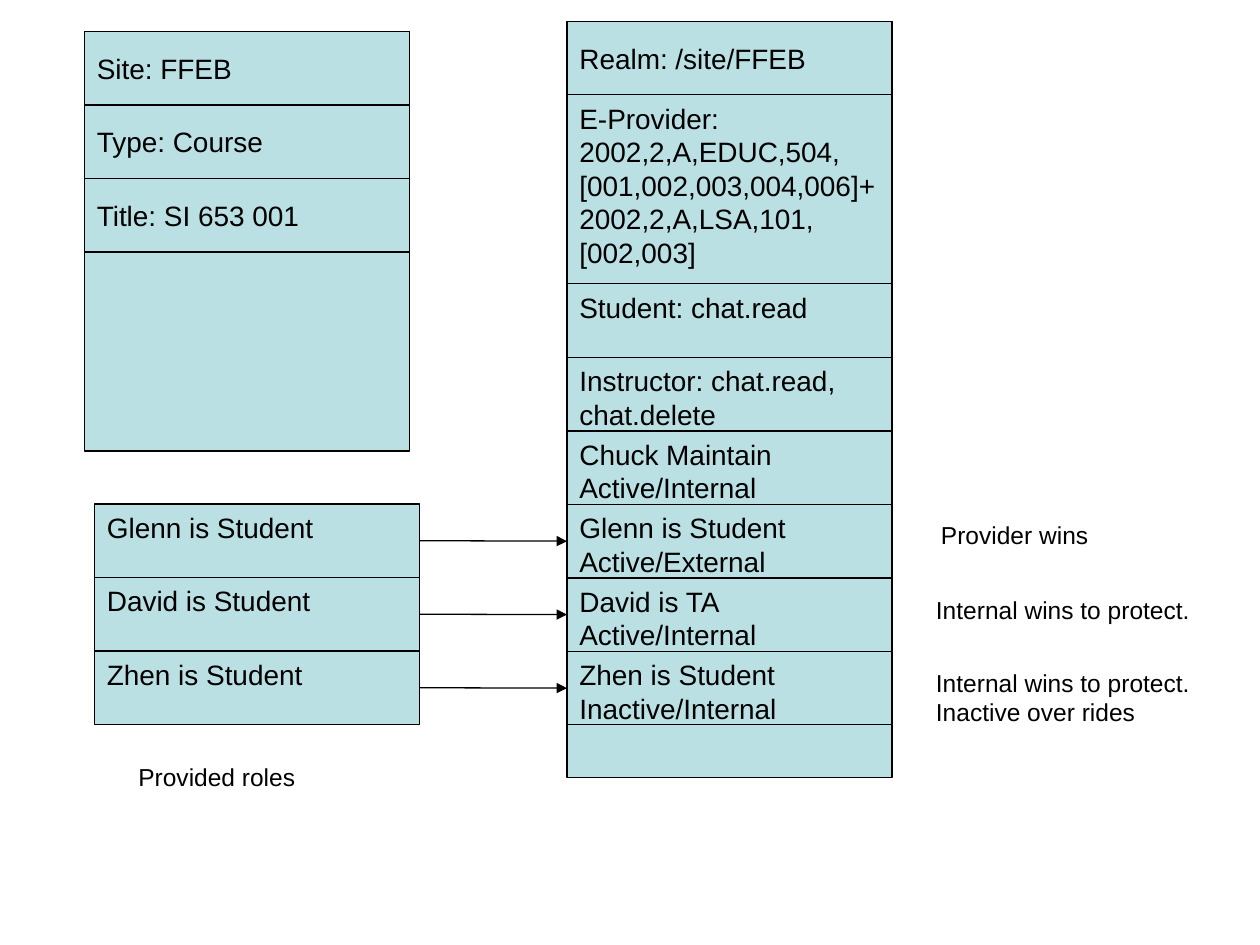
from lxml import etree
from pptx import Presentation
from pptx import util as u
from pptx.dml.color import RGBColor
from pptx.enum import shapes, text
from pptx.oxml import ns

BLACK = RGBColor(0x00, 0x00, 0x00)
PALE_TEAL = RGBColor(0xBB, 0xE0, 0xE3)
FONT = "Arial"
WIDTH = 2.58
ROW = 7 / 12
TOP, MIDDLE = text.MSO_ANCHOR.TOP, text.MSO_ANCHOR.MIDDLE

# Content: (text, height, anchor, wrap) for each stacked cell
SITE = [
    ("Site: FFEB", ROW, MIDDLE, False),
    ("Type: Course", ROW, MIDDLE, False),
    ("Title: SI 653 001", ROW, MIDDLE, False),
]
REALM = [
    ("Realm: /site/FFEB", ROW, MIDDLE, False),
    ("E-Provider:\n2002,2,A,EDUC,504,[001,002,003,004,006]+\n"
     "2002,2,A,LSA,101,[002,003]", 1.5, TOP, True),
    ("Student: chat.read", ROW, TOP, False),
    ("Instructor: chat.read, chat.delete", ROW, TOP, True),
    ("Chuck Maintain\nActive/Internal", ROW, TOP, True),
    ("Glenn is Student Active/External", ROW, TOP, True),
    ("David is TA Active/Internal", ROW, TOP, True),
    ("Zhen is Student Inactive/Internal", ROW, TOP, True),
]
ROLES = [
    ("Glenn is Student", ROW, TOP, True),
    ("David is Student", ROW, TOP, True),
    ("Zhen is Student", ROW, TOP, True),
]
# Notes: (text, left, top, width, height, wrap)
NOTES = [
    ("Provider wins", 7.37, 4.08, 1.37, 0.34, False),
    ("Internal wins to protect.", 7.33, 4.67, 2.33, 0.34, True),
    ("Internal wins to protect.\nInactive over rides", 7.33, 5.25, 2.33, 0.57, True),
    ("Provided roles", 1, 6, 2.33, 0.34, True),
]


def write(shape, words, size, anchor, wrap):
    frame = shape.text_frame
    frame.text = words
    frame.word_wrap = wrap
    frame.vertical_anchor = anchor
    for para in frame.paragraphs:
        para.alignment = text.PP_ALIGN.LEFT
        for span in para.runs:
            span.font.name = FONT
            span.font.size = u.Pt(size)
            span.font.color.rgb = BLACK


def add_box(page, left, top, height):
    box = page.shapes.add_shape(
        shapes.MSO_SHAPE.RECTANGLE,
        u.Inches(left), u.Inches(top), u.Inches(WIDTH), u.Inches(height))
    box.shadow.inherit = False
    box.fill.solid()
    box.fill.fore_color.rgb = PALE_TEAL
    box.line.color.rgb = BLACK
    box.line.width = u.Pt(0.75)
    return box


def add_stack(page, left, top, cells):
    boxes = []
    for words, height, anchor, wrap in cells:
        box = add_box(page, left, top, height)
        write(box, words, 16, anchor, wrap)
        boxes.append(box)
        top += height
    return boxes


def add_arrow(page, start, end):
    arrow = page.shapes.add_connector(shapes.MSO_CONNECTOR.STRAIGHT, 0, 0, 0, 0)
    arrow.begin_connect(start, 3)
    arrow.end_connect(end, 1)
    arrow.line.color.rgb = BLACK
    arrow.line.width = u.Pt(0.75)
    etree.SubElement(arrow.line._get_or_add_ln(), ns.qn("a:tailEnd"), type="triangle")
    etree.SubElement(arrow._element.spPr, ns.qn("a:effectLst"))


def main():
    deck = Presentation()
    deck.slide_width, deck.slide_height = u.Inches(10), u.Inches(7.5)
    page = deck.slides.add_slide(deck.slide_layouts[6])

    # Site and realm records, each on a taller backing box
    add_box(page, 0.67, 0.25, 3.33)
    add_stack(page, 0.67, 0.25, SITE)
    add_box(page, 4.5, 0.17, 6)
    realm = add_stack(page, 4.5, 0.17, REALM)

    # Provided roles feed the last realm rows
    roles = add_stack(page, 0.75, 4, ROLES)
    for role, member in zip(roles, realm[-len(roles):]):
        add_arrow(page, role, member)

    # Notes
    for words, left, top, width, height, wrap in NOTES:
        note = page.shapes.add_textbox(
            u.Inches(left), u.Inches(top), u.Inches(width), u.Inches(height))
        write(note, words, 14, TOP, wrap)

    deck.save("out.pptx")


if __name__ == "__main__":
    main()
